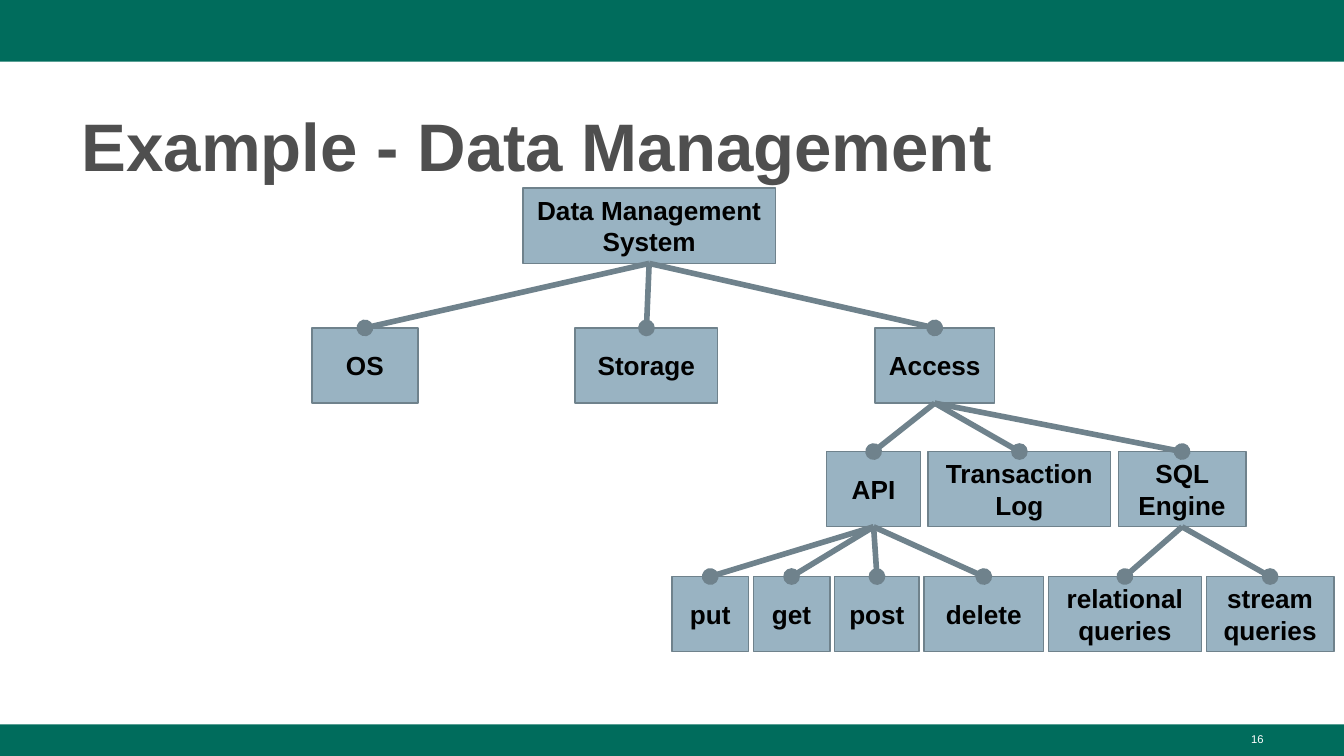
from dataclasses import dataclass

import lxml.etree
import pptx
import pptx.dml.color
import pptx.enum.shapes
import pptx.enum.text
import pptx.oxml.ns
import pptx.util

COLORS = {
    "band": "006C5C",
    "title": "4F4F4F",
    "node": "99B3C2",
    "edge": "6F828C",
    "text": "000000",
    "page": "FFFFFF",
}
FONT = "Arial"
COLS, ROWS = 100, 56.25
NODE_ROWS = 5.6
ALIGN = pptx.enum.text.PP_ALIGN
ANCHOR = pptx.enum.text.MSO_ANCHOR


@dataclass(frozen=True)
class Area:
    col: float
    row: float
    cols: float
    rows: float


@dataclass(frozen=True)
class Node:
    label: str
    cols: float
    parent: str = ""


@dataclass(frozen=True)
class Level:
    row: float
    col: float
    gap: float
    nodes: tuple[Node, ...]


LEVELS = (
    Level(14, 38.9, 0, (Node("Data Management System", 18.8),)),
    Level(24.4, 23.2, 11.7, (
        Node("OS", 7.9, "Data Management System"),
        Node("Storage", 10.6, "Data Management System"),
        Node("Access", 8.9, "Data Management System"),
    )),
    Level(33.6, 61.5, 0.55, (
        Node("API", 7, "Access"),
        Node("Transaction Log", 13.6, "Access"),
        Node("SQL Engine", 9.5, "Access"),
    )),
    Level(42.9, 50, 0.35, (
        Node("put", 5.7, "API"),
        Node("get", 5.7, "API"),
        Node("post", 6.3, "API"),
        Node("delete", 8.9, "API"),
        Node("relational queries", 11.4, "SQL Engine"),
        Node("stream queries", 9.5, "SQL Engine"),
    )),
)


def grid(units: float) -> int:
    return pptx.util.Inches(units / 10)


def bounds(area: Area) -> tuple[int, ...]:
    return tuple(grid(v) for v in (area.col, area.row, area.cols, area.rows))


def rgb(name: str) -> pptx.dml.color.RGBColor:
    return pptx.dml.color.RGBColor.from_string(COLORS[name])


def add_rect(s, area: Area, fill: str):
    sp = s.shapes.add_shape(pptx.enum.shapes.MSO_SHAPE.RECTANGLE, *bounds(area))
    sp.shadow.inherit = False
    sp.fill.solid()
    sp.fill.fore_color.rgb = rgb(fill)
    sp.line.fill.background()
    return sp


def set_text(sp, text: str, size: float, color: str, bold: bool, align, anchor,
             top: float, bottom: float):
    tf = sp.text_frame
    tf.word_wrap = True
    tf.vertical_anchor = anchor
    tf.margin_left = tf.margin_right = grid(1)
    tf.margin_top, tf.margin_bottom = grid(top), grid(bottom)
    p = tf.paragraphs[0]
    p.alignment = align
    r = p.add_run()
    r.text = text
    r.font.name = FONT
    r.font.size = pptx.util.Pt(size)
    r.font.bold = bold
    r.font.color.rgb = rgb(color)
    return p


def add_node(s, node: Node, col: float, row: float):
    sp = add_rect(s, Area(col, row, node.cols, NODE_ROWS), "node")
    sp.line.color.rgb = rgb("edge")
    sp.line.width = pptx.util.Pt(0.75)
    set_text(sp, node.label, 14, "text", True, ALIGN.CENTER, ANCHOR.MIDDLE, 1, 1)
    return sp


def add_edge(s, parent, child) -> None:
    cx = s.shapes.add_connector(pptx.enum.shapes.MSO_CONNECTOR.STRAIGHT, 0, 0, 0, 0)
    cx.begin_connect(parent, 2)
    cx.end_connect(child, 0)
    cx.line.color.rgb = rgb("edge")
    cx.line.width = pptx.util.Pt(3)
    qn = pptx.oxml.ns.qn
    lxml.etree.SubElement(cx.line._get_or_add_ln(), qn("a:tailEnd"), type="oval")
    lxml.etree.SubElement(cx._element.spPr, qn("a:effectLst"))


def add_tree(s, levels: tuple[Level, ...]) -> None:
    boxes = {}
    for level in levels:
        col = level.col
        for node in level.nodes:
            boxes[node.label] = add_node(s, node, col, level.row)
            col += node.cols + level.gap
        for node in level.nodes:
            if node.parent:
                add_edge(s, boxes[node.parent], boxes[node.label])


def main() -> None:
    prs = pptx.Presentation()
    prs.slide_width, prs.slide_height = grid(COLS), grid(ROWS)
    s = prs.slides.add_slide(prs.slide_layouts[6])
    add_rect(s, Area(0, 0, COLS, 4.6), "band")
    add_rect(s, Area(0, 53.9, COLS, ROWS - 53.9), "band")

    number = s.shapes.add_textbox(*bounds(Area(71.7, 54, 23.3, 2.3)))
    set_text(number, "16", 6, "page", False, ALIGN.RIGHT, ANCHOR.TOP, 0.5, 0.5)
    title = s.shapes.add_textbox(*bounds(Area(5.1, 6.7, 89.9, 7.3)))
    p = set_text(title, "Example - Data Management", 36, "title", True,
                 ALIGN.LEFT, ANCHOR.BOTTOM, 0.5, 0.2)
    p.line_spacing = 1.08

    add_tree(s, LEVELS)
    prs.save("out.pptx")


if __name__ == "__main__":
    main()
